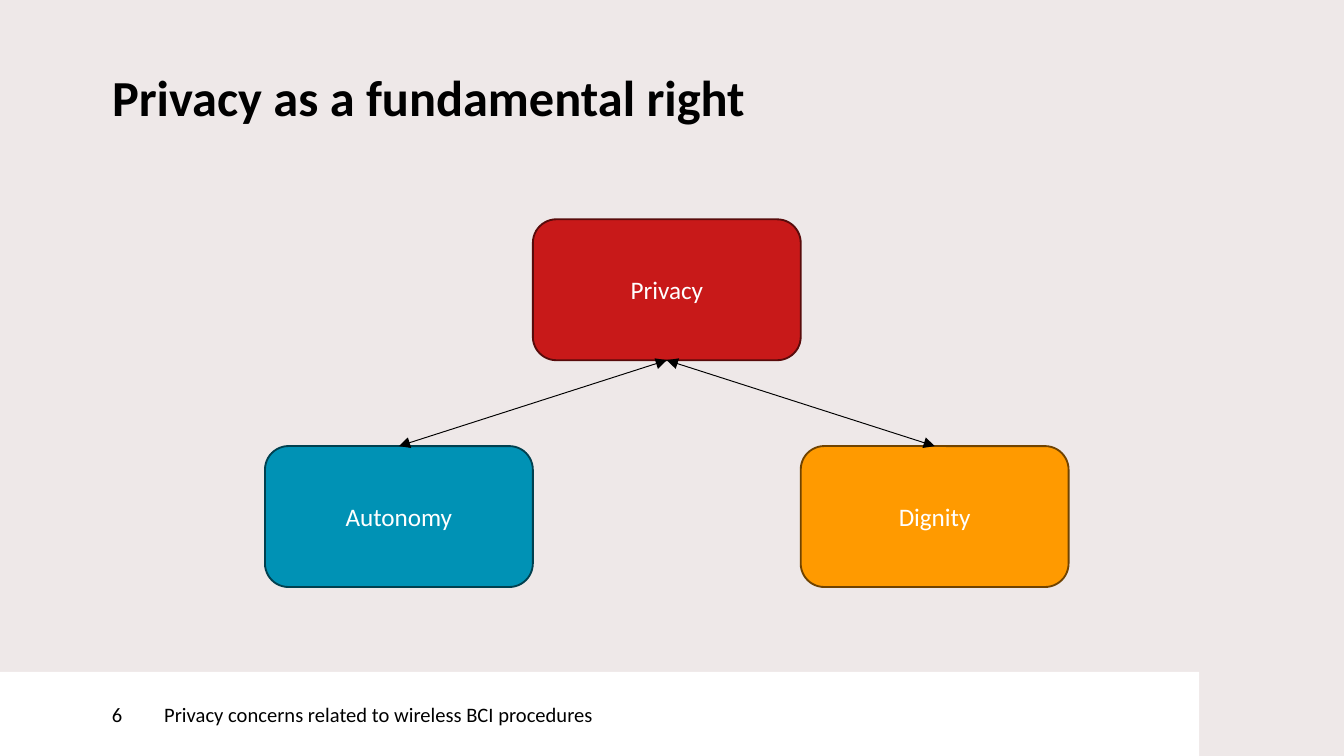
"""Build a slide on privacy as a fundamental right."""
from lxml.etree import SubElement
from pptx import Presentation
from pptx.dml.color import RGBColor
from pptx.enum.shapes import MSO_CONNECTOR, MSO_SHAPE
from pptx.enum.text import MSO_ANCHOR, PP_ALIGN
from pptx.oxml.ns import qn
from pptx.util import Pt

FONT = "Calibri"
HEX = {
    "back": "EEE8E8", "white": "FFFFFF", "black": "000000",
    "red": "C81919", "maroon": "580B0B",
    "blue": "0092B5", "navy": "00404F",
    "orange": "FF9A00", "brown": "704300",
}
WIDE, HIGH = 143.5, 75.5
LEFT, TOP, LOW = 142, 117.5, 239


def color(name):
    return RGBColor.from_string(HEX[name])


def write(frame, text, size, ink, align=PP_ALIGN.LEFT, bold=False):
    para = frame.paragraphs[0]
    para.alignment = align
    run = para.add_run()
    run.text = text
    font = run.font
    font.name, font.size, font.bold = FONT, Pt(size), bold
    font.color.rgb = color(ink)
    return para


def inset(frame, left=0):
    frame.margin_left = Pt(left)
    frame.margin_top = frame.margin_right = frame.margin_bottom = 0


def add_title(slide, text):
    title = slide.shapes.title
    title.left, title.top = Pt(60), Pt(41)
    title.width, title.height = Pt(595), Pt(42.5)
    frame = title.text_frame
    inset(frame)
    frame.word_wrap = True
    frame.vertical_anchor = MSO_ANCHOR.TOP
    write(frame, text, 27, "black", bold=True).line_spacing = Pt(27)


def add_block(slide, kind, left, top, width, height, fill):
    block = slide.shapes.add_shape(kind, Pt(left), Pt(top), Pt(width), Pt(height))
    block.shadow.inherit = False
    block.fill.solid()
    block.fill.fore_color.rgb = color(fill)
    block.text_frame.word_wrap = True
    block.text_frame.vertical_anchor = MSO_ANCHOR.MIDDLE
    return block


def add_foot(slide, left, width, text, pad=0):
    block = add_block(slide, MSO_SHAPE.RECTANGLE, left, 360, width, 45, "white")
    block.line.fill.background()
    inset(block.text_frame, pad)
    write(block.text_frame, text, 11, "black")


def add_box(slide, col, top, text, fill, edge):
    left = LEFT + col * WIDE
    box = add_block(slide, MSO_SHAPE.ROUNDED_RECTANGLE, left, top, WIDE, HIGH, fill)
    box.line.color.rgb = color(edge)
    box.line.width = Pt(1)
    write(box.text_frame, text, 13.5, "white", PP_ALIGN.CENTER)
    return box


def add_link(slide, start, start_site, end, end_site):
    link = slide.shapes.add_connector(MSO_CONNECTOR.STRAIGHT, 0, 0, 0, 0)
    link.begin_connect(start, start_site)
    link.end_connect(end, end_site)
    link.line.color.rgb = color("black")
    link.line.width = Pt(0.5)
    line = link.line._get_or_add_ln()
    for tag in ("a:headEnd", "a:tailEnd"):
        SubElement(line, qn(tag), type="triangle")
    SubElement(link._element.spPr, qn("a:effectLst"))


def main():
    deck = Presentation()
    deck.slide_width, deck.slide_height = Pt(720), Pt(405)
    slide = deck.slides.add_slide(deck.slide_layouts[5])
    slide.background.fill.solid()
    slide.background.fill.fore_color.rgb = color("back")
    add_title(slide, "Privacy as a fundamental right")
    add_foot(slide, 88, 554.5, "Privacy concerns related to wireless BCI procedures")
    add_foot(slide, 0, 88, "6", 60)
    top = add_box(slide, 1, TOP, "Privacy", "red", "maroon")
    left = add_box(slide, 0, LOW, "Autonomy", "blue", "navy")
    right = add_box(slide, 2, LOW, "Dignity", "orange", "brown")
    add_link(slide, left, 0, top, 2)
    add_link(slide, top, 2, right, 0)
    deck.save("out.pptx")


if __name__ == "__main__":
    main()
